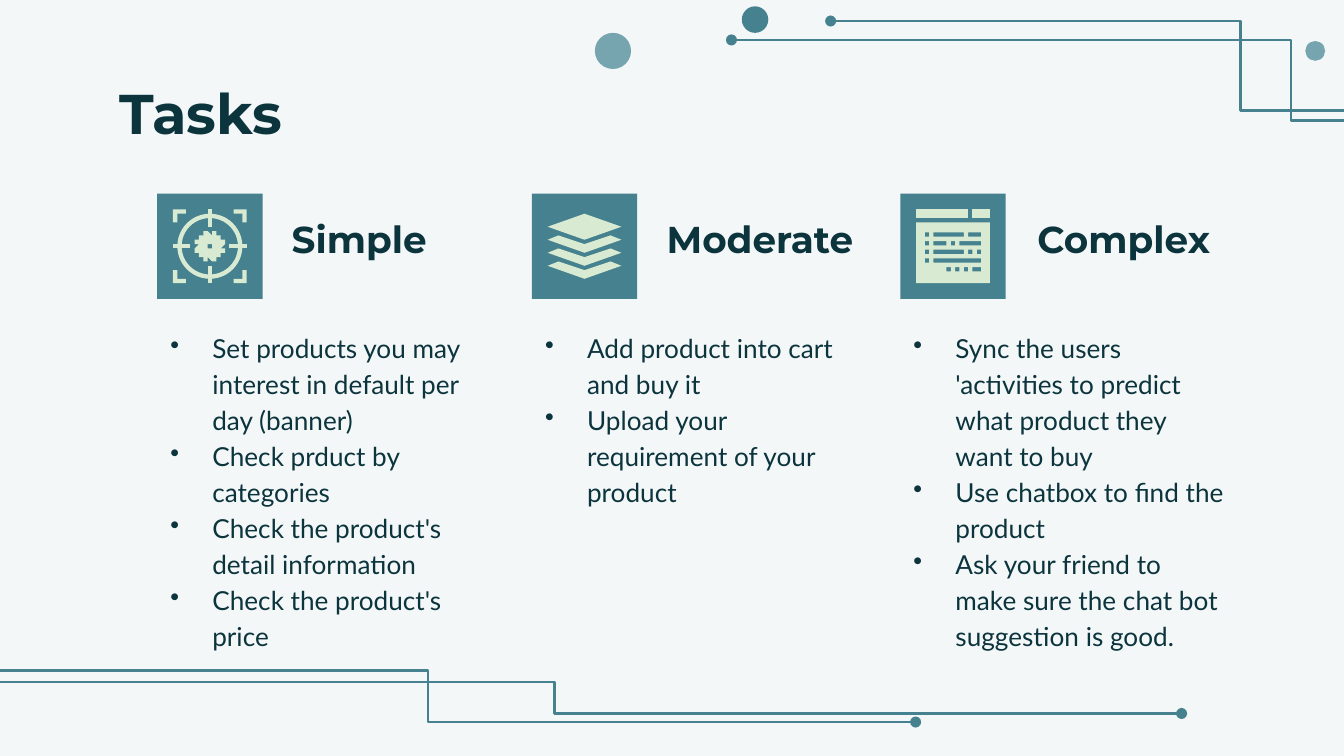
"""Build the Tasks slide: three columns of tasks by difficulty."""
from dataclasses import dataclass

from lxml import etree
from pptx import Presentation
from pptx.dml.color import RGBColor
from pptx.enum.shapes import MSO_CONNECTOR, MSO_SHAPE
from pptx.enum.text import MSO_ANCHOR
from pptx.oxml.ns import qn
from pptx.util import Pt

ELBOW = MSO_CONNECTOR.ELBOW
RECTANGLE, OVAL, DONUT = MSO_SHAPE.RECTANGLE, MSO_SHAPE.OVAL, MSO_SHAPE.DONUT
TOP, BOTTOM = MSO_ANCHOR.TOP, MSO_ANCHOR.BOTTOM


@dataclass(frozen=True)
class Theme:
    background: str = "F3F7F8"
    ink: str = "0C343D"
    teal: str = "45818E"
    pale_teal: str = "76A5AF"
    icon: str = "D9EAD3"
    heading_font: str = "Montserrat"
    body_font: str = "Lato"
    title_size: int = 30
    heading_size: int = 20
    body_size: int = 14


THEME = Theme()
TITLE = "Tasks"
COLUMNS = [
    dict(heading="Simple", left=84.2, heading_left=149.2, width=188, icon="target",
         tasks=["Set products you may interest in default per day (banner)",
                "Check prduct by categories",
                "Check the product's detail information",
                "Check the product's price"]),
    dict(heading="Moderate", left=284.9, heading_left=350, width=171.4, icon="layers",
         tasks=["Add product into cart and buy it",
                "Upload your requirement of your product"]),
    dict(heading="Complex", left=482.3, heading_left=548.6, width=183, icon="code",
         tasks=["Sync the users 'activities to predict what product they want to buy",
                "Use chatbox to find the product",
                "Ask your friend to make sure the chat bot suggestion is good."]),
]
DOTS = [  # centre x, centre y, diameter, colour
    (328.4, 27.3, 19.4, THEME.pale_teal),
    (404.5, 10.5, 14.2, THEME.teal),
    (704.6, 27.3, 10.6, THEME.pale_teal),
]
CIRCUITS = [  # start, bend x, end
    ((761, 64.4), 691.5, (391.9, 21.4)),
    ((771, 59.2), 664.3, (445, 11.3)),
    ((-39, 365.4), 297, (633, 382.2)),
    ((-32, 359), 229.3, (490.5, 386.8)),
]
TILE_TOP, TILE_SIZE = 103.7, 56.5
GRID, ICON_SIZE = 17, 39.5
UNIT = ICON_SIZE / GRID
ICON_INSET = (TILE_SIZE - ICON_SIZE) / 2
BODY_TOP, BODY_HEIGHT = 168.5, 67.7
HEADING_TOP, HEADING_WIDTH, HEADING_HEIGHT = 115.9, 171.4, 31
INSET, INDENT = 7.2, 22.5

CODE_FIRST_ROW = 5.3
CODE_ROWS = [
    [(2, 3), (4, 11), (12, 15)],
    [(2, 3), (4, 7), (8, 9), (10, 15)],
    [(2, 3), (4, 11), (12, 13), (14, 15)],
    [(2, 3), (4, 15)],
    [(7, 8), (9, 10), (11, 12), (13, 15)],
]
CHIP_QUARTER = [(8, 5), (7, 5), (7, 6), (6, 6), (6, 7), (5, 7), (5, 8), (6, 8)]
BRACKET = [(0, 0), (3, 0), (3, 1), (1, 1), (1, 3), (0, 3)]
DIAMOND = [(8.5, 1), (0, 4), (8.5, 7), (17, 4)]
CHEVRON = [(2.5, 6), (0, 7), (8.5, 10), (17, 7), (14.5, 6), (8.5, 8)]


def box(left, top, right, bottom):
    return [(left, top), (right, top), (right, bottom), (left, bottom)]


def quarter_turns(points):
    turns = [points]
    for _ in range(3):
        turns.append([(y, GRID - x) for x, y in turns[-1]])
    return turns


def icon_outlines(icon):
    if icon == "layers":
        return [[DIAMOND]] + [[[(x, y + 3 * i) for x, y in CHEVRON]] for i in range(3)]
    if icon == "code":
        lines = [box(start, CODE_FIRST_ROW + 2 * i, end, CODE_FIRST_ROW + 2 * i + 1)
                 for i, row in enumerate(CODE_ROWS) for start, end in row]
        return [[box(0, 0, 12, 2)], [box(13, 0, 17, 2)], [box(0, 3, 17, 17)] + lines]
    chip = sum(quarter_turns(CHIP_QUARTER), [])
    pieces = quarter_turns(BRACKET) + quarter_turns(box(8, 0, 9, 4))
    return [[piece] for piece in pieces] + [[chip, box(8, 8, 9, 9)]]


def paint(shape, color):
    shape.shadow.inherit = False
    shape.fill.solid()
    shape.fill.fore_color.rgb = RGBColor.from_string(color)
    shape.line.fill.background()


def add_preset(slide, preset, left, top, size, color):
    shape = slide.shapes.add_shape(preset, Pt(left), Pt(top), Pt(size), Pt(size))
    paint(shape, color)
    return shape


def add_icon(slide, icon, left, top):
    if icon == "target":
        ring = add_preset(slide, DONUT, left + UNIT, top + UNIT, 15 * UNIT, THEME.icon)
        ring.adjustments[0] = 1 / 15
    for contours in icon_outlines(icon):
        placed = [[(Pt(left + x * UNIT), Pt(top + y * UNIT)) for x, y in contour]
                  for contour in contours]
        outline = slide.shapes.build_freeform(*placed[0][0])
        for contour in placed:
            outline.move_to(*contour[0])
            outline.add_line_segments(contour[1:], close=True)
        paint(outline.convert_to_shape(), THEME.icon)


def add_circuit(slide, start, bend, end):
    circuit = slide.shapes.add_connector(ELBOW, *map(Pt, start + end))
    circuit.line.width = Pt(1.5)
    circuit.line.color.rgb = RGBColor.from_string(THEME.teal)
    properties = circuit.line._get_or_add_ln().getparent()
    etree.SubElement(properties.find(qn("a:ln")), qn("a:tailEnd"), type="oval")
    etree.SubElement(properties, qn("a:effectLst"))
    guides = properties.find(qn("a:prstGeom")).get_or_add_avLst()
    share = round((bend - start[0]) / (end[0] - start[0]) * 100000)
    etree.SubElement(guides, qn("a:gd"), name="adj1", fmla=f"val {share}")


def add_bullet(paragraph):
    properties = paragraph._p.get_or_add_pPr()
    properties.set("marL", str(Pt(INDENT)))
    properties.set("indent", str(-Pt(INDENT)))
    color = etree.SubElement(properties, qn("a:buClr"))
    etree.SubElement(color, qn("a:srgbClr"), val=THEME.ink)
    etree.SubElement(properties, qn("a:buChar"), char="•")


def add_text(slide, bounds, lines, font, size, bold=False, spacing=1.15,
             anchor=TOP, bulleted=False):
    frame = slide.shapes.add_textbox(*map(Pt, bounds)).text_frame
    frame.word_wrap = True
    frame.vertical_anchor = anchor
    frame.margin_left = frame.margin_right = Pt(INSET)
    frame.margin_top = frame.margin_bottom = Pt(INSET)
    frame.text = "\n".join(lines)
    for paragraph in frame.paragraphs:
        paragraph.line_spacing = spacing
        if bulleted:
            add_bullet(paragraph)
        paragraph.font.name = font
        paragraph.font.size = Pt(size)
        paragraph.font.bold = bold
        paragraph.font.color.rgb = RGBColor.from_string(THEME.ink)


def add_column(slide, column):
    left = column["left"]
    add_preset(slide, RECTANGLE, left, TILE_TOP, TILE_SIZE, THEME.teal)
    add_icon(slide, column["icon"], left + ICON_INSET, TILE_TOP + ICON_INSET)
    add_text(slide, (column["heading_left"], HEADING_TOP, HEADING_WIDTH, HEADING_HEIGHT),
             [column["heading"]], THEME.heading_font, THEME.heading_size,
             bold=True, anchor=BOTTOM)
    add_text(slide, (left, BODY_TOP, column["width"], BODY_HEIGHT), column["tasks"],
             THEME.body_font, THEME.body_size, bulleted=True)


def main():
    deck = Presentation()
    deck.slide_width, deck.slide_height = Pt(720), Pt(405)
    slide = deck.slides.add_slide(deck.slide_layouts[6])
    slide.background.fill.solid()
    slide.background.fill.fore_color.rgb = RGBColor.from_string(THEME.background)
    for x, y, diameter, color in DOTS:
        add_preset(slide, OVAL, x - diameter / 2, y - diameter / 2, diameter, color)
    for circuit in CIRCUITS:
        add_circuit(slide, *circuit)
    add_text(slide, (56.7, 35, 607, 45), [TITLE], THEME.heading_font,
             THEME.title_size, bold=True, spacing=1.0)
    for column in COLUMNS:
        add_column(slide, column)
    deck.save("out.pptx")


if __name__ == "__main__":
    main()
